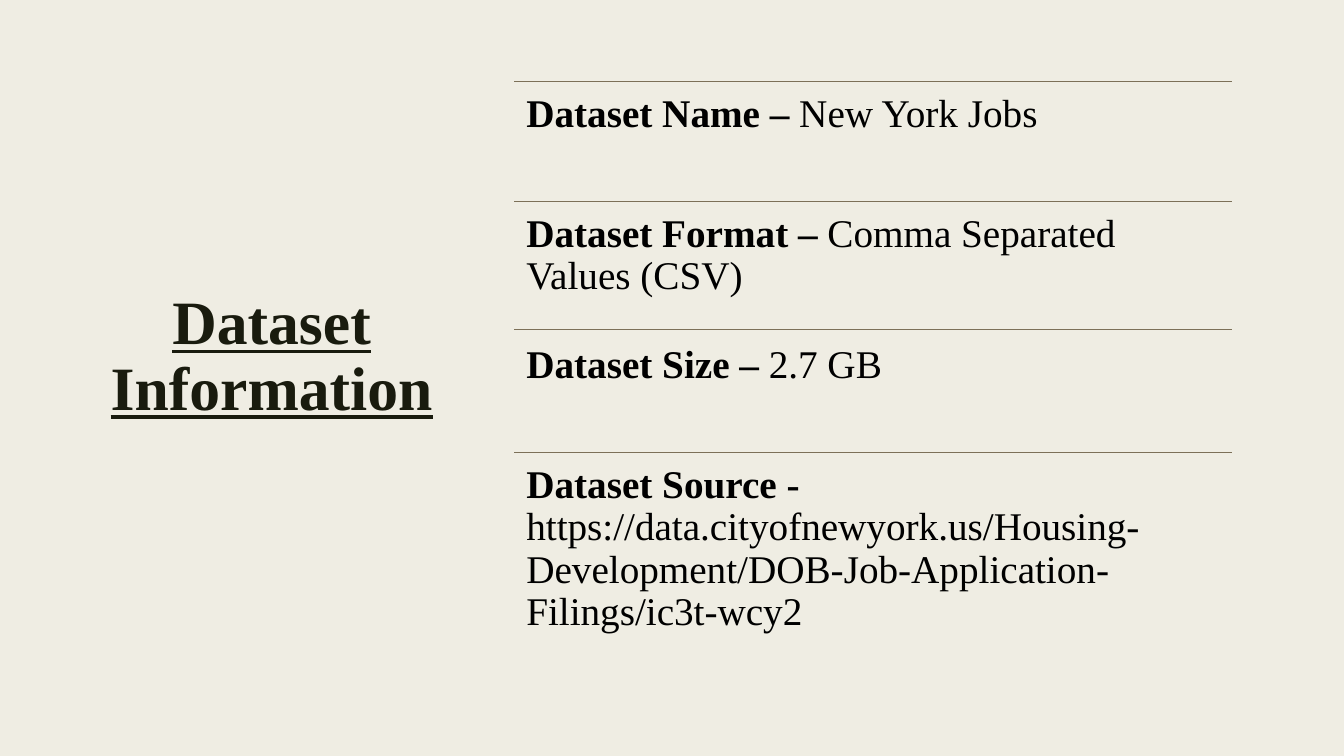
from lxml import etree
from pptx import Presentation, util as u
from pptx.dml.color import RGBColor
from pptx.enum import shapes, text
from pptx.oxml import ns

CREAM = RGBColor(0xEF, 0xED, 0xE3)
DARK = RGBColor(0x19, 0x1B, 0x0E)
BLACK = RGBColor(0, 0, 0)
RULE = RGBColor(0x7C, 0x70, 0x58)
FONT = "Times New Roman"

# Rule height, text top, text height, label, value
ROWS = [
    (0.81, 0.81, 1.19, "Dataset Name – ", "New York Jobs"),
    (2, 2, 1.27, "Dataset Format – ", "Comma Separated Values (CSV)"),
    (3.27, 3.3, 1.22, "Dataset Size – ", "2.7 GB"),
    (4.49, 4.49, 2.42, "Dataset Source - ",
     "https://data.cityofnewyork.us/Housing-Development/"
     "DOB-Job-Application-Filings/ic3t-wcy2"),
]
LEFT, WIDTH = 5.1, 7.12


def write(para, words, size=28, color=BLACK, bold=False, line=False):
    run = para.add_run()
    run.text = words
    font = run.font
    font.name, font.size = FONT, u.Pt(size)
    font.bold, font.underline = bold, line
    font.color.rgb = color


class Deck:
    def __init__(self):
        self.prs = Presentation()
        self.prs.slide_width = u.Inches(13.33)
        self.prs.slide_height = u.Inches(7.5)

    def page(self, color):
        self.slide = self.prs.slides.add_slide(self.prs.slide_layouts[5])
        fill = self.slide.background.fill
        fill.solid()
        fill.fore_color.rgb = color

    def title(self, words, x, y, w, h):
        box = self.slide.shapes.title
        box.left, box.top = u.Inches(x), u.Inches(y)
        box.width, box.height = u.Inches(w), u.Inches(h)
        frame = box.text_frame
        frame.word_wrap = True
        frame.auto_size = text.MSO_AUTO_SIZE.NONE
        frame.vertical_anchor = text.MSO_ANCHOR.MIDDLE
        para = frame.paragraphs[0]
        para.alignment = text.PP_ALIGN.CENTER
        para.line_spacing = 0.89
        write(para, words, size=44, color=DARK, bold=True, line=True)

    def rule(self, x, y, w):
        line = self.slide.shapes.add_connector(
            shapes.MSO_CONNECTOR.STRAIGHT,
            u.Inches(x), u.Inches(y), u.Inches(x + w), u.Inches(y))
        line.line.color.rgb = RULE
        line.line.width = u.Pt(0.5)
        etree.SubElement(line._element.spPr, ns.qn("a:effectLst"))

    def entry(self, label, value, x, y, w, h):
        box = self.slide.shapes.add_textbox(
            u.Inches(x), u.Inches(y), u.Inches(w), u.Inches(h))
        frame = box.text_frame
        frame.word_wrap = True
        frame.margin_left = frame.margin_right = u.Inches(0.12)
        frame.margin_top = frame.margin_bottom = u.Inches(0.12)
        para = frame.paragraphs[0]
        para.alignment = text.PP_ALIGN.LEFT
        para.line_spacing = 0.9
        write(para, label, bold=True)
        write(para, value)


def main():
    deck = Deck()
    deck.page(CREAM)

    # Heading on the left
    deck.title("Dataset Information", 0.42, 0.19, 4.55, 6.72)

    # Ruled list on the right
    for edge, top, high, label, value in ROWS:
        deck.rule(LEFT, edge, WIDTH)
        deck.entry(label, value, LEFT, top, WIDTH, high)

    deck.prs.save("out.pptx")


if __name__ == "__main__":
    main()
